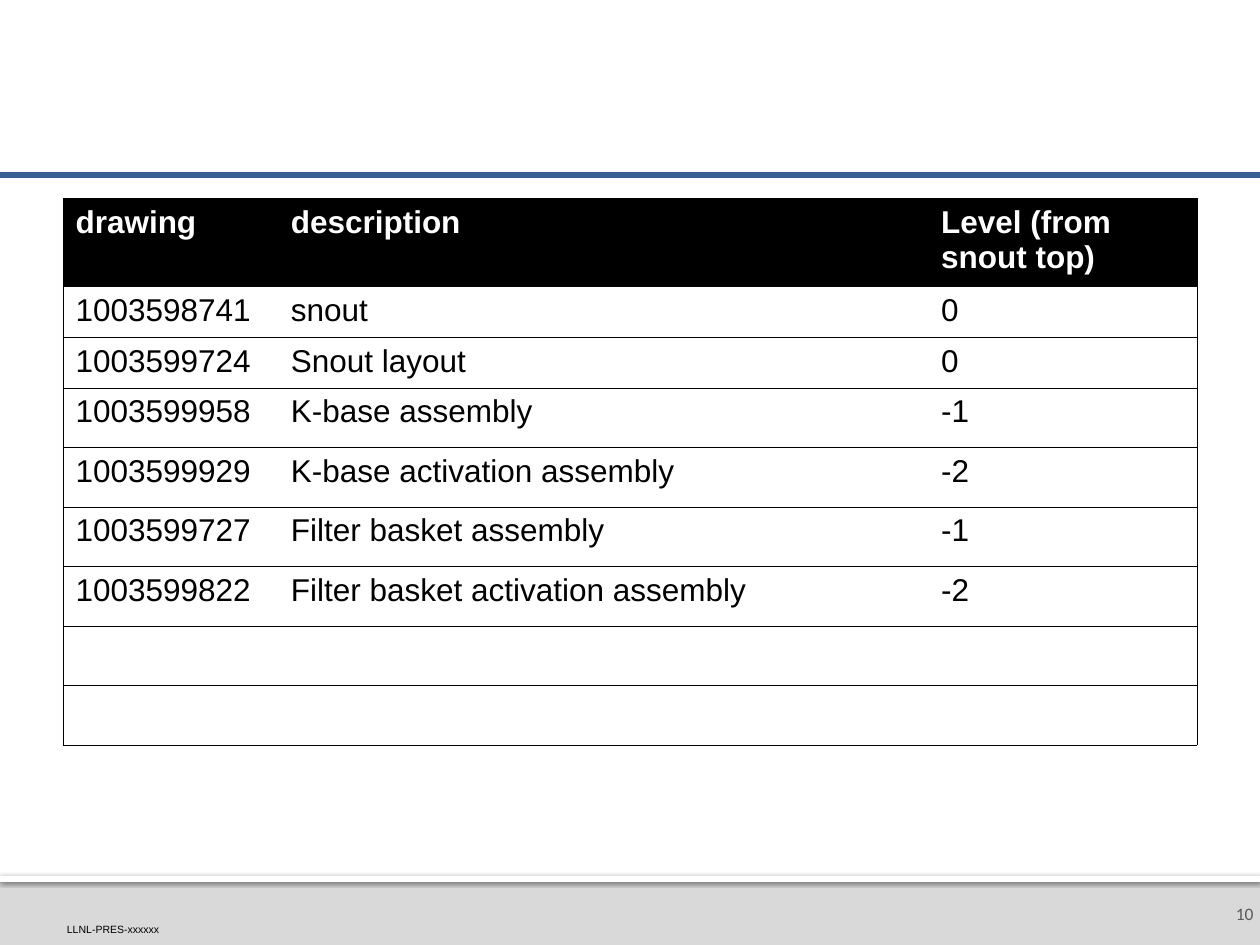
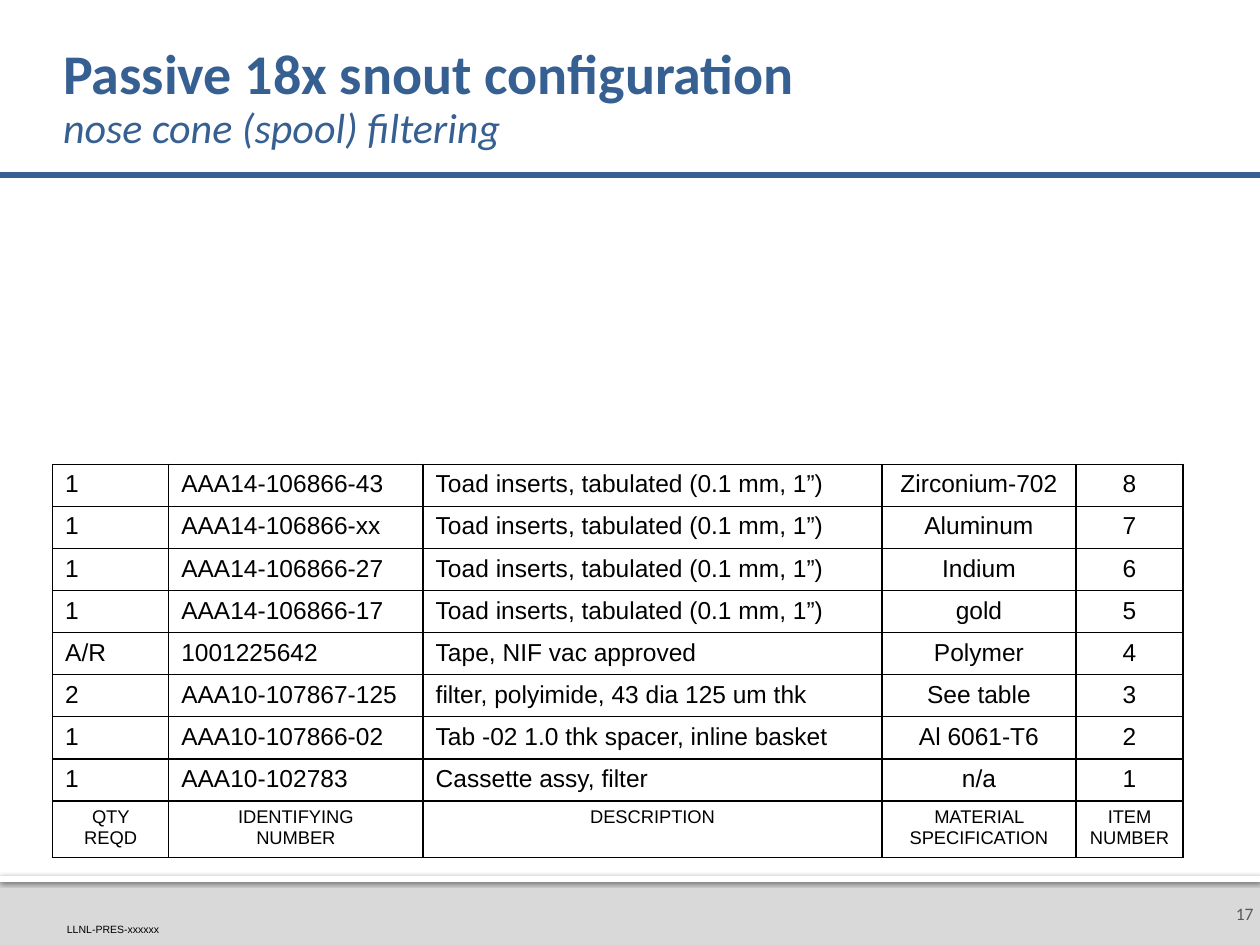
from lxml.etree import SubElement
from pptx import Presentation
from pptx.dml.color import RGBColor
from pptx.enum.shapes import MSO_CONNECTOR as Connector, MSO_SHAPE as Shape
from pptx.enum.text import MSO_ANCHOR as Anchor, MSO_AUTO_SIZE as AutoSize, PP_ALIGN as Align
from pptx.oxml.ns import qn
from pptx.util import Cm, Pt

BLUE, BLACK, WHITE = "376092", "000000", "FFFFFF"
BAND_GREY, NUMBER_GREY = "D9D9D9", "595959"
BODY_FONT, TITLE_FONT = "Arial", "Calibri"
SLIDE_WIDTH, SLIDE_HEIGHT = 25.4, 19.05
TITLE_ONLY, BLANK = 5, 6

DRAWINGS = [
    ("drawing", "description", "Level (from snout top)"),
    ("1003598741", "snout", "0"),
    ("1003599724", "Snout layout", "0"),
    ("1003599958", "K-base assembly", "-1"),
    ("1003599929", "K-base activation assembly", "-2"),
    ("1003599727", "Filter basket assembly", "-1"),
    ("1003599822", "Filter basket activation assembly", "-2"),
    ("", "", ""),
    ("", "", ""),
]

INSERT = "Toad inserts, tabulated (0.1 mm, 1”)"
PARTS = [
    ("1", "AAA14-106866-43", INSERT, "Zirconium-702", "8"),
    ("1", "AAA14-106866-xx", INSERT, "Aluminum", "7"),
    ("1", "AAA14-106866-27", INSERT, "Indium", "6"),
    ("1", "AAA14-106866-17", INSERT, "gold", "5"),
    ("A/R", "1001225642", "Tape, NIF vac approved", "Polymer", "4"),
    ("2", "AAA10-107867-125", "filter, polyimide, 43 dia 125 um thk", "See table", "3"),
    ("1", "AAA10-107866-02", "Tab -02 1.0 thk spacer, inline basket", "Al 6061-T6", "2"),
    ("1", "AAA10-102783", "Cassette assy, filter", "n/a", "1"),
    ("QTY REQD", "IDENTIFYING\nNUMBER", "DESCRIPTION", "MATERIAL SPECIFICATION", "ITEM NUMBER"),
]


def color(value):
    """Turn a hex string into a colour."""
    return RGBColor.from_string(value)


def add_run(paragraph, text, size, font, ink, bold=False, italic=False):
    """Append a formatted run to a paragraph."""
    run = paragraph.add_run()
    run.text = text
    run.font.size, run.font.name = Pt(size), font
    run.font.bold, run.font.italic = bold, italic
    run.font.color.rgb = color(ink)


def set_frame(frame, anchor, margins, auto_size=AutoSize.NONE):
    """Set wrapping, anchor and left, top, right, bottom margins of a text frame."""
    frame.word_wrap, frame.auto_size = True, auto_size
    frame.vertical_anchor = anchor
    left, top, right, bottom = map(Cm, margins)
    frame.margin_left, frame.margin_top = left, top
    frame.margin_right, frame.margin_bottom = right, bottom


def add_band(slide, box, fill):
    """Add a plain filled rectangle without an outline."""
    band = slide.shapes.add_shape(Shape.RECTANGLE, *map(Cm, box))
    band.shadow.inherit = False
    band.fill.solid()
    band.fill.fore_color.rgb = color(fill)
    band.line.fill.background()
    return band


def add_shadow(shape):
    """Give a shape a soft shadow that falls downwards."""
    effects = shape._element.spPr.find(qn("a:effectLst"))
    shadow = SubElement(effects, qn("a:outerShdw"), blurRad=str(Pt(2.5)), dist=str(Pt(0.8)),
                        dir="5400000", algn="t", rotWithShape="0")
    ink = SubElement(shadow, qn("a:srgbClr"), val=BLACK)
    SubElement(ink, qn("a:alpha"), val="60000")


def add_footer(slide, box, number):
    """Draw the footer band with its document mark and page number."""
    left, top, width, height = box
    add_band(slide, box, BAND_GREY)
    add_shadow(add_band(slide, (left, top, width, 0.13), WHITE))

    mark = slide.shapes.add_textbox(Cm(left + 1.35), Cm(top + 0.97), Cm(2.44), Cm(0.25))
    set_frame(mark.text_frame, Anchor.BOTTOM, (0, 0, 0, 0), AutoSize.SHAPE_TO_FIT_TEXT)
    add_run(mark.text_frame.paragraphs[0], "LLNL-PRES-xxxxxx", 6, BODY_FONT, BLACK)

    page = slide.shapes.add_textbox(Cm(left + width - 0.89), Cm(top + 0.13), Cm(0.89), Cm(1.27))
    set_frame(page.text_frame, Anchor.MIDDLE, (0.25, 0.13, 0.13, 0.13))
    paragraph = page.text_frame.paragraphs[0]
    paragraph.alignment = Align.RIGHT
    add_run(paragraph, str(number), 10, TITLE_FONT, NUMBER_GREY)


def add_slide(presentation, layout, number):
    """Add a slide with the shared header rule and footer."""
    slide = presentation.slides.add_slide(presentation.slide_layouts[layout])
    add_footer(slide, (0, 17.65, SLIDE_WIDTH, 1.4), number)
    rule = slide.shapes.add_connector(Connector.STRAIGHT, 0, Cm(3.53), Cm(SLIDE_WIDTH), Cm(3.53))
    rule.line.color.rgb, rule.line.width = color(BLUE), Pt(3)
    SubElement(rule._element.spPr, qn("a:effectLst"))
    return slide


def set_title(slide, box, heading, subheading):
    """Place the title placeholder and write its two lines."""
    title = slide.shapes.title
    title.left, title.top, title.width, title.height = map(Cm, box)
    set_frame(title.text_frame, Anchor.MIDDLE, (0, 0.13, 0.13, 0.13))
    paragraph = title.text_frame.paragraphs[0]
    paragraph.alignment, paragraph.line_spacing = Align.LEFT, 0.9
    add_run(paragraph, heading, 32, TITLE_FONT, BLUE, bold=True)
    paragraph.add_line_break()
    add_run(paragraph, subheading, 24, TITLE_FONT, BLUE, italic=True)


def set_borders(cell, widths):
    """Set left, right, top and bottom borders, where zero means none."""
    properties = cell._tc.get_or_add_tcPr()
    for side, width in zip("LRTB", widths):
        line = SubElement(properties, qn(f"a:ln{side}"), w=str(Pt(width)))
        if width:
            SubElement(SubElement(line, qn("a:solidFill")), qn("a:srgbClr"), val=BLACK)
        else:
            SubElement(line, qn("a:noFill"))


def fill_cell(cell, text, size, ink=BLACK, bold=False, align=Align.LEFT):
    """Write the lines of a cell, one paragraph each."""
    frame = cell.text_frame
    for index, line in enumerate(text.split("\n")):
        paragraph = frame.add_paragraph() if index else frame.paragraphs[0]
        paragraph.alignment = align
        if line:
            add_run(paragraph, line, size, BODY_FONT, ink, bold)
        else:
            paragraph.font.size = Pt(size)


def add_grid(slide, left, top, widths, heights):
    """Add an unstyled table with the given column widths and row heights."""
    table = slide.shapes.add_table(len(heights), len(widths), Cm(left), Cm(top),
                                   Cm(sum(widths)), Cm(sum(heights))).table
    table.first_row = table.horz_banding = False
    for column, width in zip(table.columns, widths):
        column.width = Cm(width)
    for row, height in zip(table.rows, heights):
        row.height = Cm(height)
    return table


def add_drawing_table(slide, left, top):
    """Add the drawing list with a black header and horizontal rules."""
    table = add_grid(slide, left, top, [4.34, 13.11, 5.41], [1.78] + [1.02] * 2 + [1.2] * 6)
    last = len(DRAWINGS[0]) - 1
    for row, values in enumerate(DRAWINGS):
        header = row == 0
        for column, text in enumerate(values):
            cell = table.cell(row, column)
            set_borders(cell, (0.5 * (column == 0), 0.5 * (column == last), 0.5, 0.5))
            cell.fill.solid()
            cell.fill.fore_color.rgb = color(BLACK if header else WHITE)
            fill_cell(cell, text, 18, WHITE if header else BLACK, bold=header)


def add_parts_table(slide, left, top):
    """Add the fully ruled parts list with its headings in the last row."""
    table = add_grid(slide, left, top, [2.34, 5.13, 9.25, 3.91, 2.16], [0.81] * 8 + [1.07])
    for row, values in enumerate(PARTS):
        heading = row == len(PARTS) - 1
        for column, text in enumerate(values):
            cell = table.cell(row, column)
            set_borders(cell, (1, 1, 1, 1))
            cell.fill.background()
            centred = heading or column >= 3
            fill_cell(cell, text, 10.5 if heading else 14,
                      align=Align.CENTER if centred else Align.LEFT)


def main():
    """Build both slides and save the presentation."""
    presentation = Presentation()
    presentation.slide_width, presentation.slide_height = Cm(SLIDE_WIDTH), Cm(SLIDE_HEIGHT)

    drawings = add_slide(presentation, BLANK, 10)
    add_drawing_table(drawings, 1.27, 4)

    parts = add_slide(presentation, TITLE_ONLY, 17)
    set_title(parts, (1.27, 0.6, 22.86, 2.8),
              "Passive 18x snout configuration", "nose cone (spool) filtering")
    add_parts_table(parts, 1.06, 9.36)

    presentation.save("out.pptx")


if __name__ == "__main__":
    main()
